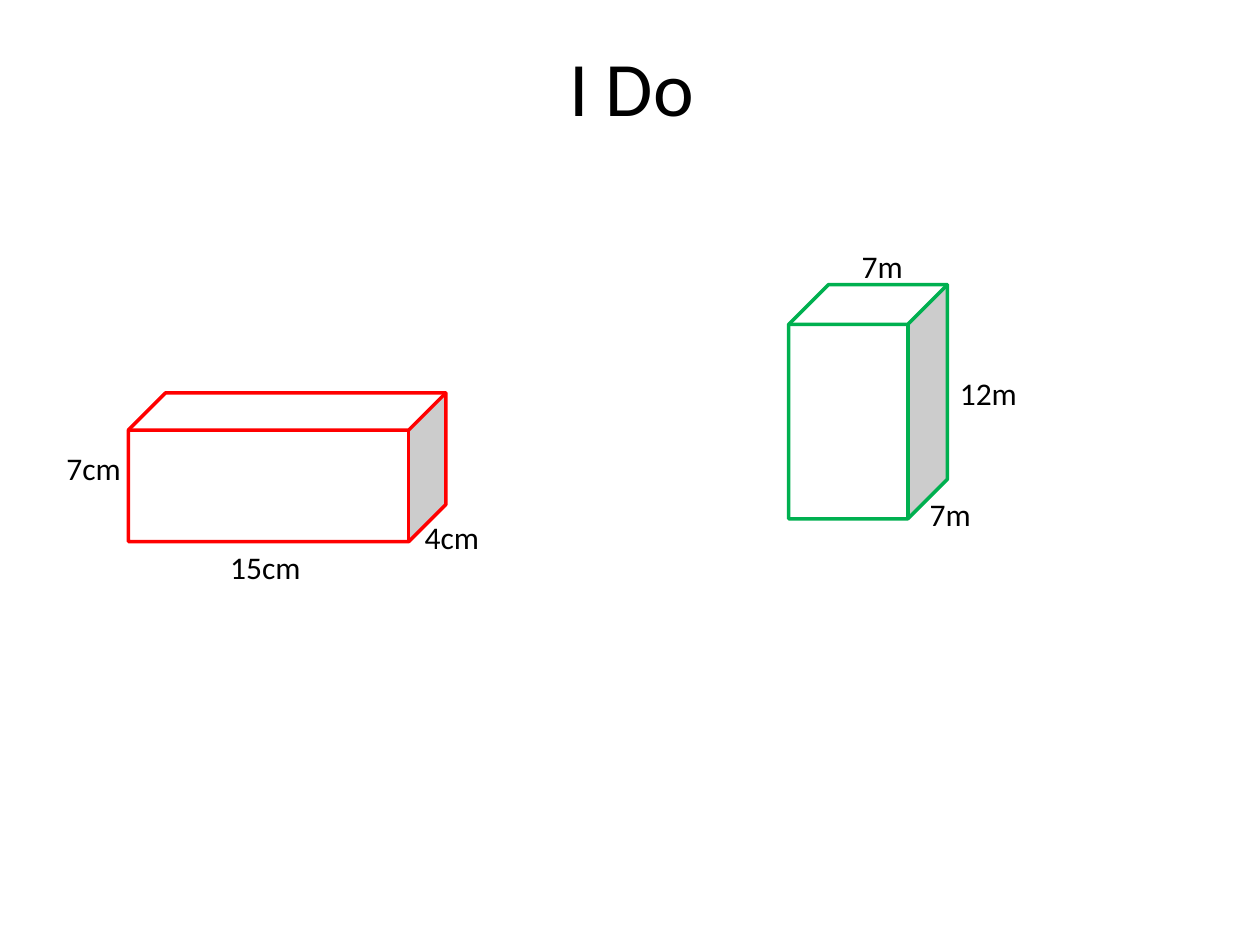
from pptx import Presentation
from pptx.dml.color import RGBColor
from pptx.enum.shapes import MSO_SHAPE
from pptx.enum.text import MSO_ANCHOR, MSO_AUTO_SIZE, PP_ALIGN
from pptx.util import Cm, Pt

CUBE = MSO_SHAPE.CUBE
MIDDLE = MSO_ANCHOR.MIDDLE
GROW = MSO_AUTO_SIZE.SHAPE_TO_FIT_TEXT
LEFT, CENTER = PP_ALIGN.LEFT, PP_ALIGN.CENTER

BLACK = RGBColor(0x00, 0x00, 0x00)
WHITE = RGBColor(0xFF, 0xFF, 0xFF)
RED = RGBColor(0xFF, 0x00, 0x00)
GREEN = RGBColor(0x00, 0xB0, 0x50)


class SlideBuilder:
    """Draws titles, cuboids and measurement labels on one slide."""

    def __init__(self, page):
        self.page = page
        self.font_name = "Calibri"
        self.label_size = 18
        self.title_size = 44

    def set_text(self, box, text, size, align):
        box.text_frame.text = text
        para = box.text_frame.paragraphs[0]
        para.alignment = align
        para.font.name = self.font_name
        para.font.size = Pt(size)
        para.font.color.rgb = BLACK

    def title(self, text, left, top, width, height):
        box = self.page.shapes.title
        box.left, box.top = Cm(left), Cm(top)
        box.width, box.height = Cm(width), Cm(height)
        box.text_frame.vertical_anchor = MIDDLE
        self.set_text(box, text, self.title_size, CENTER)

    def cuboid(self, left, top, width, height, color):
        cuboid = self.page.shapes.add_shape(
            CUBE, Cm(left), Cm(top), Cm(width), Cm(height))
        cuboid.shadow.inherit = False
        cuboid.fill.solid()
        cuboid.fill.fore_color.rgb = WHITE
        cuboid.line.color.rgb = color
        cuboid.line.width = Pt(2)

    def label(self, text, left, top):
        box = self.page.shapes.add_textbox(
            Cm(left), Cm(top), Cm(2.59), Cm(1.03))
        box.text_frame.word_wrap = True
        box.text_frame.auto_size = GROW
        self.set_text(box, text, self.label_size, LEFT)


def main():
    deck = Presentation()
    deck.slide_width, deck.slide_height = Cm(25.4), Cm(19.05)
    builder = SlideBuilder(deck.slides.add_slide(deck.slide_layouts[5]))
    builder.title("I Do", 1.3, 0.13, 22.86, 3.18)

    cuboids = [
        ((2.59, 7.92, 6.4, 3), RED,
         [("7cm", 1.09, 8.92), ("15cm", 4.39, 10.92), ("4cm", 8.31, 10.31)]),
        ((15.9, 5.74, 3.2, 4.72), GREEN,
         [("7m", 17.12, 4.85), ("12m", 19.1, 7.42), ("7m", 18.49, 9.86)]),
    ]
    for bounds, color, labels in cuboids:
        builder.cuboid(*bounds, color)
        for label in labels:
            builder.label(*label)

    deck.save("out.pptx")


if __name__ == "__main__":
    main()
